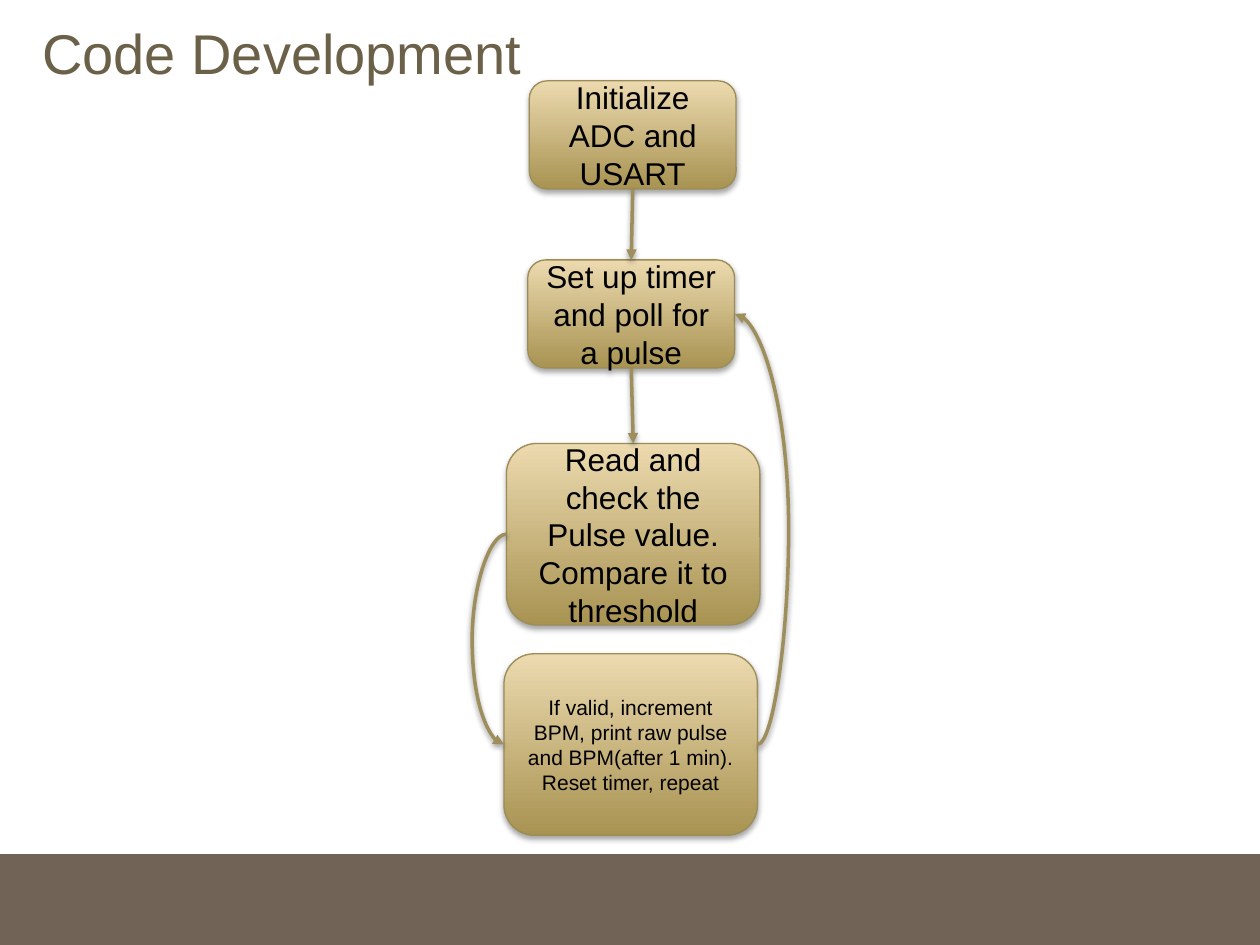
from lxml import etree
from pptx import Presentation
from pptx.dml.color import RGBColor
from pptx.enum.shapes import MSO_CONNECTOR, MSO_SHAPE
from pptx.enum.text import MSO_ANCHOR, PP_ALIGN
from pptx.oxml import parse_xml
from pptx.oxml.ns import qn
from pptx.util import Cm, Pt

RECTANGLE, ROUNDED = MSO_SHAPE.RECTANGLE, MSO_SHAPE.ROUNDED_RECTANGLE
STRAIGHT, CURVE = MSO_CONNECTOR.STRAIGHT, MSO_CONNECTOR.CURVE
MIDDLE, CENTER = MSO_ANCHOR.MIDDLE, PP_ALIGN.CENTER
TOP, LEFT, BOTTOM, RIGHT = range(4)

FONT = "Arial"
COLORS = {
    "title": "6B6149", "footer": "726357", "text": "000000", "shadow": "000000",
    "dark": "A89352", "light": "ECDAAF", "outline": "9C8C58", "arrow": "9E8E5C",
}

TITLE = "Code Development"
SMALL, LARGE = (4.17, 2.18), (5.11, 3.66)
# text, left and top in cm, size in cm, font size
STEPS = [
    ("Initialize ADC and USART", 10.67, 1.63, SMALL, 18),
    ("Set up timer and poll for a pulse", 10.64, 5.24, SMALL, 18),
    ("Read and check the Pulse value. Compare it to threshold", 10.21, 8.94, LARGE, 18),
    ("If valid, increment BPM, print raw pulse and BPM(after 1 min).\n"
     "Reset timer, repeat", 10.16, 13.18, LARGE, 12),
]
STRAIGHT_ARROWS = [(0, 1), (1, 2)]
# from step, to step, side, x of the outermost point in cm
CURVED_ARROWS = [(2, 3, LEFT, 9.52), (3, 1, RIGHT, 15.9)]


def color(name):
    return RGBColor.from_string(COLORS[name])


def style_text(frame, size, color_name, align=None):
    frame.word_wrap = True
    frame.vertical_anchor = MIDDLE
    for para in frame.paragraphs:
        para.alignment = align
        for span in para.runs:
            span.font.name = FONT
            span.font.size = Pt(size)
            span.font.color.rgb = color(color_name)


def add_shadow(shape, distance, opacity):
    """Drop a soft shadow straight down; opacity is a percentage."""
    shape.element.spPr.append(parse_xml(
        '<a:effectLst xmlns:a="http://schemas.openxmlformats.org/drawingml/2006/main">'
        f'<a:outerShdw blurRad="{Pt(3.15)}" dist="{Pt(distance)}" dir="5400000" rotWithShape="0">'
        f'<a:srgbClr val="{COLORS["shadow"]}"><a:alpha val="{opacity * 1000}"/></a:srgbClr>'
        '</a:outerShdw></a:effectLst>'))


def add_step(slide, text, left, top, size, font_size):
    box = slide.shapes.add_shape(ROUNDED, Cm(left), Cm(top), *map(Cm, size))
    box.fill.gradient()
    box.fill.gradient_angle = 90
    for stop, name in zip(box.fill.gradient_stops, ("dark", "light")):
        stop.color.rgb = color(name)
    box.line.color.rgb = color("outline")
    box.line.width = Pt(0.75)
    add_shadow(box, 1.8, 35)
    box.text_frame.text = text
    style_text(box.text_frame, font_size, "text", CENTER)
    return box


def style_arrow(arrow):
    arrow.line.color.rgb = color("arrow")
    arrow.line.width = Pt(2)
    etree.SubElement(arrow.line._get_or_add_ln(), qn("a:tailEnd"), type="triangle")
    add_shadow(arrow, 1.6, 38)


def add_straight_arrow(slide, source, target):
    arrow = slide.shapes.add_connector(STRAIGHT, 0, 0, 0, 0)
    arrow.begin_connect(source, BOTTOM)
    arrow.end_connect(target, TOP)
    style_arrow(arrow)


def side_middle(box, side):
    x = box.left if side == LEFT else box.left + box.width
    return x, box.top + box.height // 2


def add_curved_arrow(slide, source, target, side, outer):
    start, end = side_middle(source, side), side_middle(target, side)
    arrow = slide.shapes.add_connector(CURVE, *start, *end)
    bend = round((Cm(outer) - start[0]) / (end[0] - start[0]) * 100000)
    guides = arrow.element.spPr.find(qn("a:prstGeom")).find(qn("a:avLst"))
    etree.SubElement(guides, qn("a:gd"), name="adj1", fmla=f"val {bend}")
    style_arrow(arrow)


def main():
    deck = Presentation()
    deck.slide_width, deck.slide_height = Cm(25.4), Cm(19.05)
    slide = deck.slides.add_slide(deck.slide_layouts[6])

    footer_top = Cm(17.22)
    footer = slide.shapes.add_shape(
        RECTANGLE, 0, footer_top, deck.slide_width, deck.slide_height - footer_top)
    footer.shadow.inherit = False
    footer.fill.solid()
    footer.fill.fore_color.rgb = color("footer")
    footer.line.fill.background()

    title = slide.shapes.add_textbox(Cm(0.6), Cm(0.2), Cm(22.86), Cm(1.7))
    title.text_frame.text = TITLE
    style_text(title.text_frame, 32, "title")

    boxes = [add_step(slide, *step) for step in STEPS]
    for source, target in STRAIGHT_ARROWS:
        add_straight_arrow(slide, boxes[source], boxes[target])
    for source, target, side, outer in CURVED_ARROWS:
        add_curved_arrow(slide, boxes[source], boxes[target], side, outer)

    deck.save("out.pptx")


if __name__ == "__main__":
    main()
